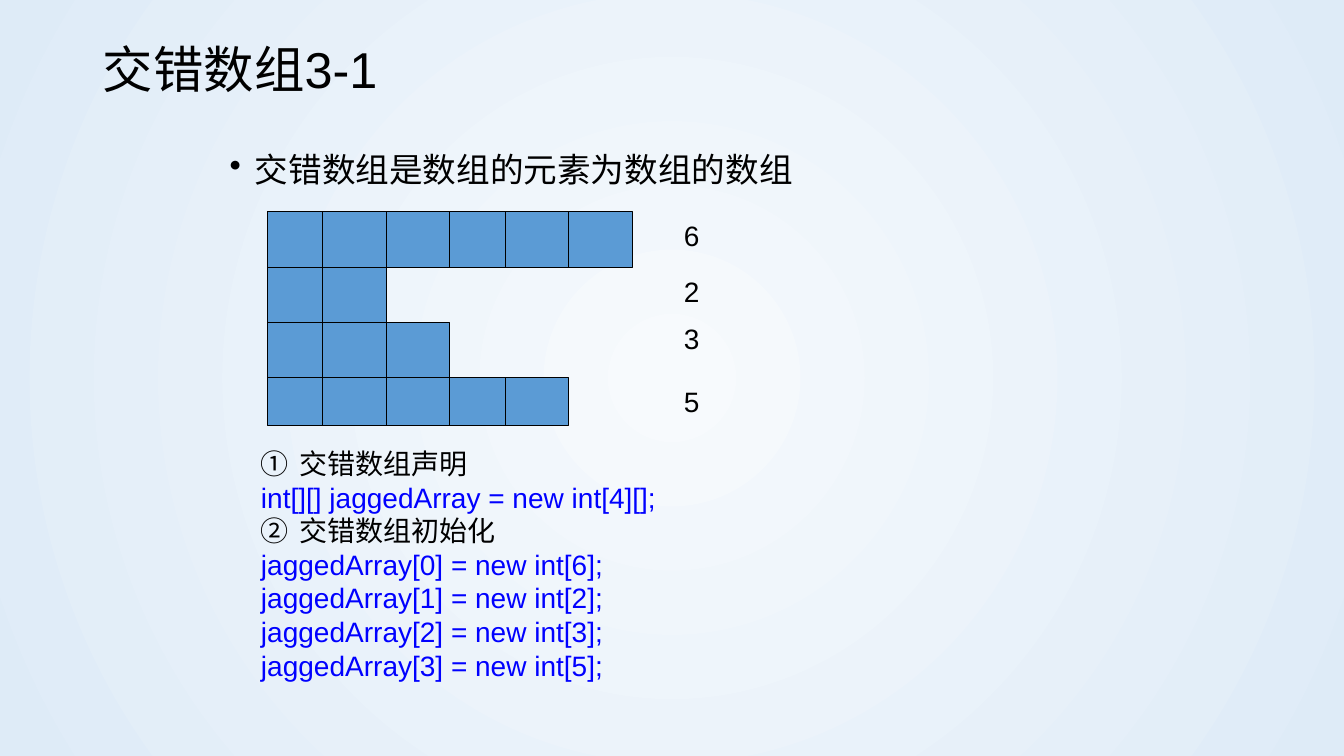
from itertools import accumulate

from lxml import etree
from pptx import Presentation
from pptx import util as u
from pptx.dml.color import RGBColor
from pptx.enum import shapes, text
from pptx.oxml.ns import qn

BLACK, BLUE, CELL = "000000", "0000FF", "5B9BD5"
COLUMNS = [0.55, 0.63, 0.63, 0.55, 0.63, 0.63]
ROWS = [0.55, 0.55, 0.55, 0.47]
COUNTS = [6, 2, 3, 5]
DIVIDERS = [(1, 0, 4), (2, 0, 4), (3, 0, 1), (3, 2, 4), (4, 0, 1), (4, 3, 4), (5, 0, 1)]
LABELS = [(0, 0.63), (0.63, 0.47), (1.1, 0.47), (1.73, 0.47)]
CODE = [
    ("交错数组声明", 1),
    ("int[][] jaggedArray = new int[4][];", 0),
    ("交错数组初始化", 2),
] + [(f"jaggedArray[{i}] = new int[{n}];", 0) for i, n in enumerate(COUNTS)]


def rgb(value):
    """Turn a hex string into a colour."""
    return RGBColor.from_string(value)


def inches(*values):
    """Turn numbers into lengths."""
    return [u.Inches(v) for v in values]


def child(parent, tag, **attrs):
    """Add an XML child with the given attributes."""
    return etree.SubElement(parent, qn(tag), {k: str(v) for k, v in attrs.items()})


def write(p, words, size, color=BLACK, **formats):
    """Put one formatted run in a paragraph."""
    for name, value in formats.items():
        setattr(p, name, value)
    r = p.add_run()
    r.text = words
    for name, value in {"name": "Arial", "size": u.Pt(size)}.items():
        setattr(r.font, name, value)
    r.font.color.rgb = rgb(color)


def indent(p, width, bullet=None, **attrs):
    """Give a paragraph a hanging indent and a bullet."""
    pPr = p._p.get_or_add_pPr()
    pPr.set("marL", str(u.Inches(width)))
    pPr.set("indent", str(-u.Inches(width)))
    child(pPr, bullet or "a:buNone", **attrs)


def text_frame(s, box, **formats):
    """Add a text box and return its frame."""
    tf = s.shapes.add_textbox(*inches(*box)).text_frame
    for name, value in {"word_wrap": True, **formats}.items():
        setattr(tf, name, value)
    return tf


def background(s):
    """Fill the slide with a radial gradient."""
    fill = s.background.fill
    fill.gradient()
    for stop, position, color in zip(fill.gradient_stops, (0, 1), ("F7FAFD", "DEEBF7")):
        stop.position = position
        stop.color.rgb = rgb(color)
    grad = s._element.find(".//" + qn("a:gradFill"))
    grad.remove(grad.find(qn("a:lin")))
    center = child(grad, "a:path", path="circle")
    child(center, "a:fillToRect", l=50000, t=50000, r=50000, b=50000)


def title(s, box):
    """Place and write the title."""
    sp = s.shapes.title
    for name, value in zip(("left", "top", "width", "height"), inches(*box)):
        setattr(sp, name, value)
    tf = sp.text_frame
    tf.vertical_anchor = text.MSO_ANCHOR.TOP
    write(tf.paragraphs[0], "交错数组3-1", 36, alignment=text.PP_ALIGN.LEFT, line_spacing=0.9)


def definition(s, box):
    """Write the bulleted definition."""
    p = text_frame(s, box).paragraphs[0]
    p.line_spacing = 0.9
    indent(p, 0.25, "a:buChar", char="•")
    write(p, "交错数组是数组的元素为数组的数组", 24)


def jagged_array(s, left, top):
    """Draw the rows of cells and their dividers."""
    xs = list(accumulate(COLUMNS, initial=left))
    ys = list(accumulate(ROWS, initial=top))
    bars = []
    for y, height, count in zip(ys, ROWS, COUNTS):
        sp = s.shapes.add_shape(shapes.MSO_SHAPE.RECTANGLE, *inches(left, y, xs[count] - left, height))
        sp.shadow.inherit = False
        sp.fill.solid()
        sp.fill.fore_color.rgb = rgb(CELL)
        sp.line.color.rgb = rgb(BLACK)
        sp.line.width = u.Pt(0.75)
        bars.append(sp)
    for column, first, last in DIVIDERS:
        line = s.shapes.add_connector(
            shapes.MSO_CONNECTOR.STRAIGHT, *inches(xs[column], ys[first], xs[column], ys[last]))
        line.line.color.rgb = rgb(BLACK)
        line.line.width = u.Pt(0.75)
        child(line._element.spPr, "a:effectLst")
        if (column, first) == (3, 0):
            line.begin_connect(bars[0], 0)
            line.end_connect(bars[0], 2)


def lengths(s, left, top, width):
    """Write the length of each row."""
    for count, (offset, height) in zip(COUNTS, LABELS):
        tf = text_frame(s, (left, top + offset, width, height),
                        word_wrap=False, vertical_anchor=text.MSO_ANCHOR.MIDDLE)
        write(tf.paragraphs[0], str(count), 20, alignment=text.PP_ALIGN.CENTER)


def code(s, box):
    """Write the numbered steps and their code."""
    tf = text_frame(s, box, auto_size=text.MSO_AUTO_SIZE.SHAPE_TO_FIT_TEXT)
    for i, (words, number) in enumerate(CODE):
        p = tf.add_paragraph() if i else tf.paragraphs[0]
        if number:
            indent(p, 0.38, "a:buAutoNum", type="circleNumDbPlain", startAt=number)
        else:
            indent(p, 0.38)
        write(p, words, 20, BLACK if number else BLUE)


def main():
    """Build and save the slide."""
    prs = Presentation()
    prs.slide_width, prs.slide_height = inches(13.33, 7.5)
    s = prs.slides.add_slide(prs.slide_layouts[5])
    background(s)
    title(s, (0.92, 0.4, 11.5, 1.08))
    definition(s, (2.18, 1.47, 9, 0.5))
    jagged_array(s, 2.65, 2.1)
    lengths(s, 6.19, 2.02, 1.34)
    code(s, (2.49, 4.38, 5.91, 2.43))
    prs.save("out.pptx")


if __name__ == "__main__":
    main()
